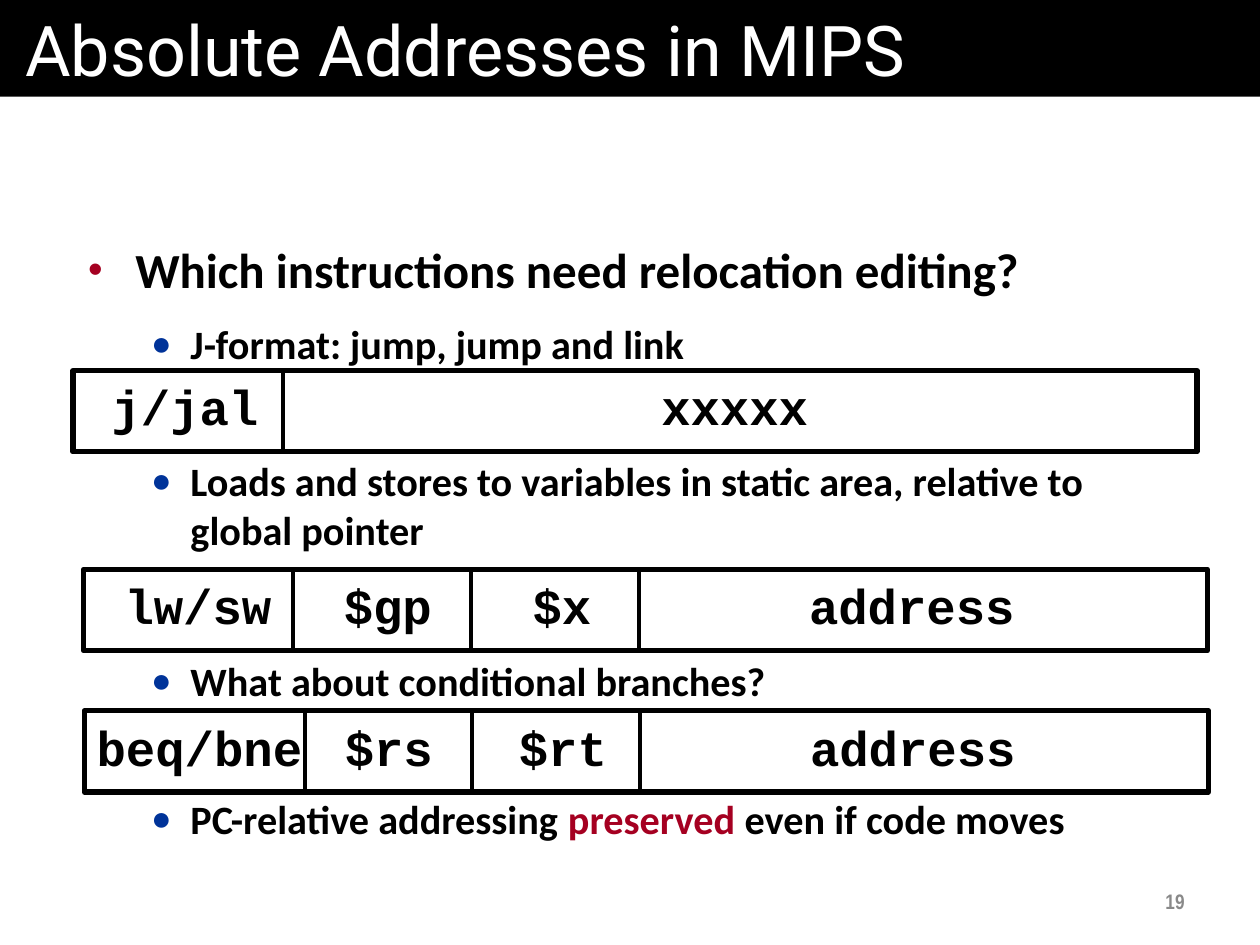
from lxml import etree
from pptx import Presentation
from pptx import util as u
from pptx.dml.color import RGBColor
from pptx.enum import shapes, text
from pptx.oxml.ns import qn

COLORS = {"black": "000000", "white": "FFFFFF", "red": "A50021",
          "blue": "003399", "gray": "898989"}
CHAR_WIDTH = 0.6 * 28 * 2.54 / 72  # monospaced 28 pt character, in cm

# Per level: left margin, hanging indent, size, bullet, bullet colour
LEVELS = [(0.95, 0.95, 28, "•", "red"), (2.06, 0.79, 23, "●", "blue")]

# Level, space before, runs; the wide gaps leave room for the formats
QUESTIONS = [
    (0, 0, [("Which instructions need relocation editing?", "black")]),
    (1, 5.8, [("J-format: jump, jump and link", "black")]),
    (1, 45, [("Loads and stores to variables in static area, relative to "
              "global pointer", "black")]),
    (1, 53, [("What about conditional branches?", "black")]),
    (1, 45, [("PC-relative addressing ", "black"), ("preserved ", "red"),
             ("even if code moves", "black")]),
]

# Left, top, dividers, fields with their centres (relative to the left)
FORMATS = [
    (1.47, 7.47, [4.24], [("j/jal", 2.26), ("xxxxx", 13.34)]),
    (1.68, 11.48, [4.22, 7.82, 11.2],
     [("lw/sw", 2.31), ("$gp", 6.14), ("$x", 9.65), ("address", 16.7)]),
    (1.7, 14.33, [4.44, 7.82, 11.2],
     [("beq/bne", 2.32), ("$rs", 6.14), ("$rt", 9.65), ("address", 16.7)]),
]


def rgb(color):
    return RGBColor.from_string(COLORS[color])


def cm(*lengths):
    return [u.Cm(length) for length in lengths]


def add_run(paragraph, words, font, size, color, bold=True):
    run = paragraph.add_run()
    run.text = words
    run.font.name = font
    run.font.size = u.Pt(size)
    run.font.bold = bold
    run.font.color.rgb = rgb(color)


def set_frame(frame, side, end, wrap=True, anchor=text.MSO_ANCHOR.TOP):
    frame.margin_left = frame.margin_right = u.Cm(side)
    frame.margin_top = frame.margin_bottom = u.Cm(end)
    frame.word_wrap = wrap
    frame.vertical_anchor = anchor


def set_bullet(paragraph, margin, hang, mark, color):
    props = paragraph._p.get_or_add_pPr()
    props.set("marL", str(u.Cm(margin)))
    props.set("indent", str(-u.Cm(hang)))
    bullet_color = etree.SubElement(props, qn("a:buClr"))
    etree.SubElement(bullet_color, qn("a:srgbClr"), val=COLORS[color])
    etree.SubElement(props, qn("a:buSzPct"), val="85000")
    etree.SubElement(props, qn("a:buFont"), typeface="Arial")
    etree.SubElement(props, qn("a:buChar"), char=mark)


def add_title(slide, left, top, width, height):
    banner = slide.shapes.add_shape(shapes.MSO_SHAPE.RECTANGLE,
                                    *cm(left, top, width, height))
    banner.shadow.inherit = False
    banner.fill.solid()
    banner.fill.fore_color.rgb = rgb("black")
    banner.line.fill.background()
    set_frame(banner.text_frame, 0.51, 0.13)
    heading = banner.text_frame.paragraphs[0]
    heading.alignment = text.PP_ALIGN.LEFT
    add_run(heading, "Absolute Addresses in MIPS", "Roboto", 40, "white", False)


def add_questions(slide, left, top, width, height):
    frame = slide.shapes.add_textbox(*cm(left, top, width, height)).text_frame
    set_frame(frame, 0.51, 0.38)
    for index, (level, before, runs) in enumerate(QUESTIONS):
        question = frame.add_paragraph() if index else frame.paragraphs[0]
        margin, hang, size, mark, color = LEVELS[level]
        set_bullet(question, margin, hang, mark, color)
        question.level = level
        if before:
            question.space_before = u.Pt(before)
        question.space_after = u.Pt(6)
        for words, run_color in runs:
            add_run(question, words, "Calibri", size, run_color)


def add_format(slide, left, top, width, height, dividers, fields):
    parts = slide.shapes.add_group_shape().shapes

    # Field names, each centred on its own point
    for name, center in fields:
        field_width = len(name) * CHAR_WIDTH + 0.51
        field = parts.add_textbox(
            *cm(left + center - field_width / 2, top, field_width, 1.45))
        set_frame(field.text_frame, 0.25, 0.13, wrap=False)
        label = field.text_frame.paragraphs[0]
        label.alignment = text.PP_ALIGN.CENTER
        add_run(label, name, "Courier New", 28, "black")

    # Outline
    outline = parts.add_shape(shapes.MSO_SHAPE.RECTANGLE,
                              *cm(left, top, width, height))
    outline.shadow.inherit = False
    outline.fill.background()
    outline.line.color.rgb = rgb("black")
    outline.line.width = u.Pt(3)

    # Dividers between fields
    for offset in dividers:
        x = left + offset
        divider = parts.add_connector(shapes.MSO_CONNECTOR.STRAIGHT,
                                      *cm(x, top, x, top + height))
        divider.line.color.rgb = rgb("black")
        divider.line.width = u.Pt(2.25)
        etree.SubElement(divider._element.spPr, qn("a:effectLst"))


def add_page_number(slide, left, top, width, height):
    frame = slide.shapes.add_textbox(*cm(left, top, width, height)).text_frame
    set_frame(frame, 0.25, 0.13, anchor=text.MSO_ANCHOR.MIDDLE)
    number = frame.paragraphs[0]
    number.alignment = text.PP_ALIGN.RIGHT
    add_run(number, "19", "Arial Narrow", 12, "gray")


def main():
    deck = Presentation()
    deck.slide_width, deck.slide_height = cm(25.4, 19.05)
    slide = deck.slides.add_slide(deck.slide_layouts[6])
    add_title(slide, 0, 0, 25.4, 1.95)
    add_questions(slide, 1.27, 4.45, 22.86, 13.97)
    for left, top, dividers, fields in FORMATS:
        add_format(slide, left, top, 22.66, 1.64, dividers, fields)
    add_page_number(slide, 18.21, 17.65, 5.92, 1.02)
    deck.save("out.pptx")


if __name__ == "__main__":
    main()
